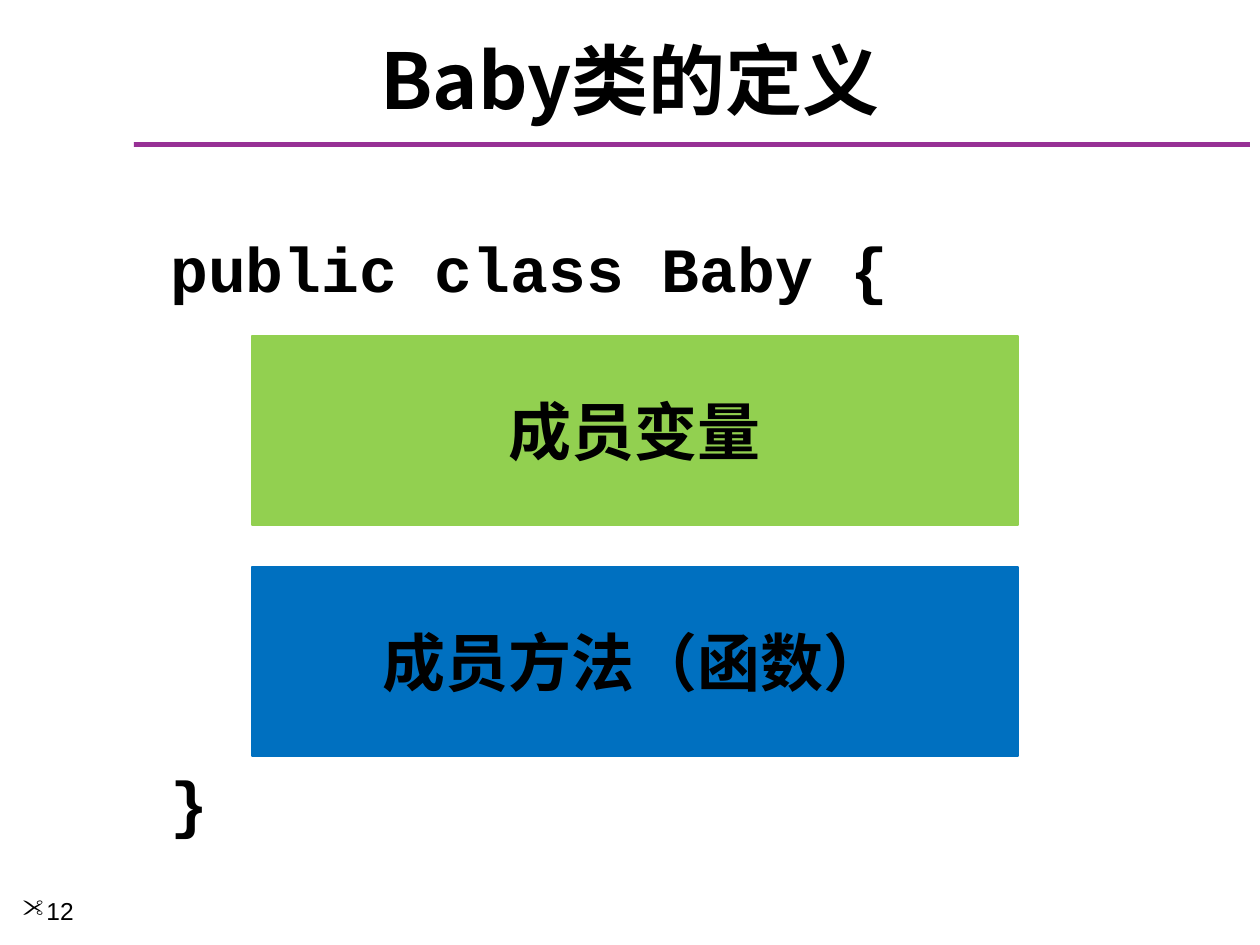
import pptx
import pptx.util
import pptx.dml.color
import pptx.enum.shapes
import pptx.enum.text
import pptx.oxml.ns
from lxml import etree

RGB = pptx.dml.color.RGBColor
ALIGN = pptx.enum.text.PP_ALIGN
ANCHOR = pptx.enum.text.MSO_ANCHOR
BLACK = RGB(0, 0, 0)
PURPLE = RGB(0x97, 0x30, 0x95)
GREEN = RGB(0x92, 0xD0, 0x50)
BLUE = RGB(0x00, 0x70, 0xC0)
SANS = "Noto Sans CJK SC"
MONO = "Courier New"

TITLE = "Baby类的定义"
CODE = "public class Baby {\n}"
MEMBERS = [("成员变量", GREEN), ("成员方法（函数）", BLUE)]
NUMBER = "12"

SCALE = 914400 / 126
BOX_X, BOX_Y, BOX_W, BOX_H, STEP = 252, 336, 766, 189, 231
BRACE_GAP = 262  # points between the opening line and the closing brace


def emu(px):
    return round(px * SCALE)


def place(shape, *box):
    shape.left, shape.top, shape.width, shape.height = map(emu, box)


def style(par, font, size, bold=True):
    for run in par.runs:
        run.font.name = font
        run.font.size = pptx.util.Pt(size)
        run.font.bold = bold
        run.font.color.rgb = BLACK
        east = etree.SubElement(run.font._element, pptx.oxml.ns.qn("a:ea"))
        east.set("typeface", font)


def add_bar(slide, color, *box):
    kind = pptx.enum.shapes.MSO_SHAPE.RECTANGLE
    bar = slide.shapes.add_shape(kind, *map(emu, box))
    bar.shadow.inherit = False
    bar.fill.solid()
    bar.fill.fore_color.rgb = color
    return bar


def add_text(slide, text, *box):
    frame = slide.shapes.add_textbox(*map(emu, box)).text_frame
    frame.word_wrap = True
    frame.text = text
    return frame.paragraphs


def add_bullet(par, indent):
    """Hang a scissors bullet in front of the paragraph."""
    props = par._p.get_or_add_pPr()
    props.set("marL", str(emu(indent)))
    props.set("indent", str(-emu(indent)))
    for tag, key, value in [("a:buFont", "typeface", "Wingdings"),
                            ("a:buChar", "char", '"')]:
        etree.SubElement(props, pptx.oxml.ns.qn(tag)).set(key, value)


def main():
    deck = pptx.Presentation()
    deck.slide_width, deck.slide_height = emu(1260), emu(945)
    slide = deck.slides.add_slide(deck.slide_layouts[5])

    rule = add_bar(slide, PURPLE, 134, 142, 1116, 5)
    rule.line.fill.background()

    title = slide.shapes.title
    place(title, 21, 32, 1218, 94)
    title.text_frame.text = TITLE
    title.text_frame.vertical_anchor = ANCHOR.MIDDLE
    head = title.text_frame.paragraphs[0]
    head.alignment = ALIGN.CENTER
    style(head, SANS, 44)

    lines = add_text(slide, CODE, 158, 223, 751, 626)
    lines[1].space_before = pptx.util.Pt(BRACE_GAP)
    for line in lines:
        style(line, MONO, 36)

    for row, (name, color) in enumerate(MEMBERS):
        box = add_bar(slide, color, BOX_X, BOX_Y + row * STEP, BOX_W, BOX_H)
        box.line.color.rgb = color
        box.line.width = pptx.util.Pt(0.75)
        box.text_frame.text = name
        box.text_frame.vertical_anchor = ANCHOR.MIDDLE
        label = box.text_frame.paragraphs[0]
        label.alignment = ALIGN.CENTER
        style(label, SANS, 36)

    page = add_text(slide, NUMBER, 10, 890, 136, 55)[0]
    add_bullet(page, 24)
    style(page, "Arial", 14, bold=False)

    deck.save("out.pptx")


if __name__ == "__main__":
    main()
